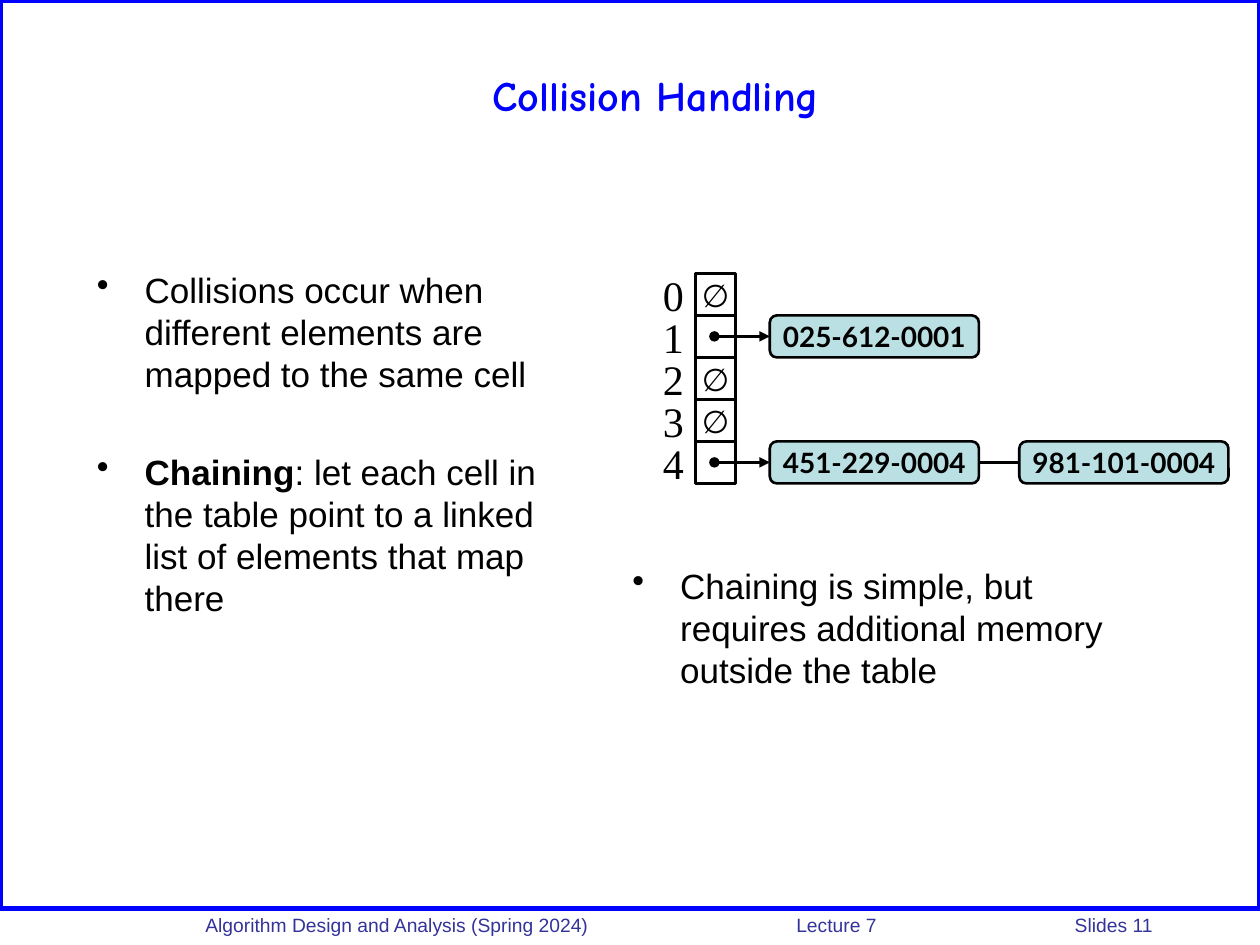
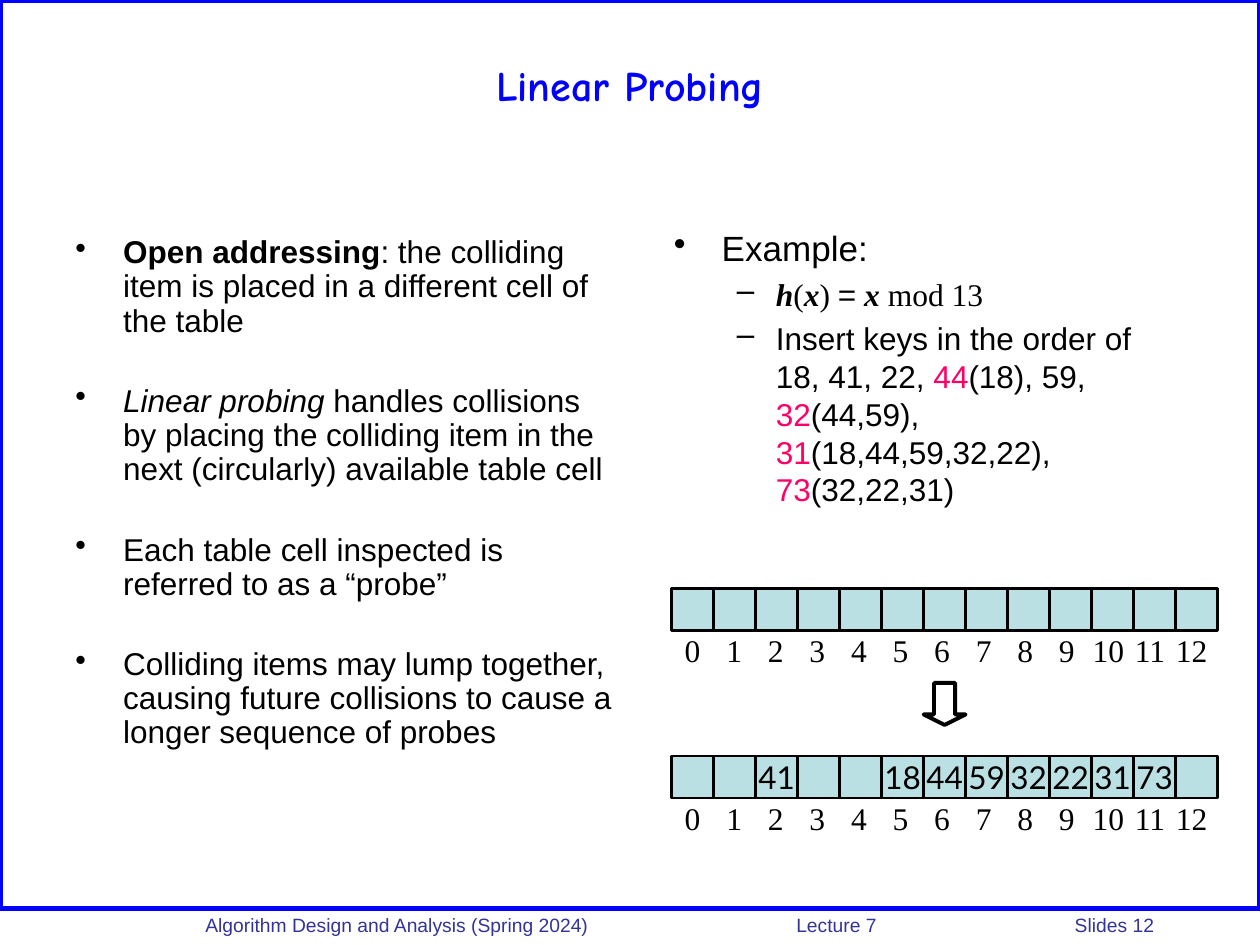
from lxml.etree import SubElement
from pptx import Presentation
from pptx.dml.color import RGBColor
from pptx.enum.shapes import MSO_CONNECTOR as Connector, MSO_SHAPE as Shape
from pptx.enum.text import MSO_ANCHOR as Anchor, PP_ALIGN as Align
from pptx.oxml.ns import qn
from pptx.util import Inches, Pt

BLUE = RGBColor(0x00, 0x00, 0xFF)
NAVY = RGBColor(0x33, 0x33, 0x99)
BLACK = RGBColor(0x00, 0x00, 0x00)
TEAL = RGBColor(0xBB, 0xE0, 0xE3)
PINK = RGBColor(0xFF, 0x00, 0x66)

SANS, SERIF, TITLE_FONT, CELL_FONT = "Arial", "Times New Roman", "Comic Neue", "Lato"
BOLD = {"bold": True}
ITALIC = {"italic": True}
MATH = {"name": SERIF}
VARIABLE = {"name": SERIF, "bold": True, "italic": True}

CELL = Inches(1) // 3
NODE_WIDTH = Inches(1.66)
BULLETS = [("•", 0.38, -0.38), ("–", 0.81, -0.31)]


def set_font(font, name, size, color=BLACK, bold=False):
    font.name, font.size, font.bold = name, Pt(size), bold
    font.color.rgb = color


def add_outline(page, kind, left, top, width, height, color=BLACK, weight=1.5, fill=None):
    box = page.shapes.add_shape(kind, left, top, width, height)
    box.shadow.inherit = False
    if fill is None:
        box.fill.background()
    else:
        box.fill.solid()
        box.fill.fore_color.rgb = fill
    box.line.color.rgb = color
    box.line.width = Pt(weight)
    return box


def write_label(box, text, name, size, bold=False):
    frame = box.text_frame
    frame.word_wrap = False
    frame.vertical_anchor = Anchor.MIDDLE
    frame.margin_left = frame.margin_right = 0
    frame.margin_top = frame.margin_bottom = 0
    para = frame.paragraphs[0]
    para.text = text
    para.alignment = Align.CENTER
    set_font(para.font, name, size, bold=bold)


def add_index(page, left, top, width, height, number, size):
    box = page.shapes.add_textbox(left, top, width, height)
    write_label(box, str(number), SERIF, size)


def add_line(page, start, end, arrow=False):
    line = page.shapes.add_connector(Connector.STRAIGHT, *start, *end)
    line.line.color.rgb = BLACK
    line.line.width = Pt(1.5)
    if arrow:
        outline = line.line._get_or_add_ln()
        SubElement(outline, qn("a:headEnd"), type="oval")
        SubElement(outline, qn("a:tailEnd"), type="triangle")
    SubElement(line._element.spPr, qn("a:effectLst"))
    return line


def add_bullets(page, left, top, width, height, items, gap=0, spacing=None):
    box = page.shapes.add_textbox(left, top, width, height)
    frame = box.text_frame
    frame.word_wrap = True
    for position, (level, size, spans) in enumerate(items):
        para = frame.add_paragraph() if position else frame.paragraphs[0]
        para.level = level
        mark, margin, indent = BULLETS[level]
        props = para._p.get_or_add_pPr()
        props.set("marL", str(Inches(margin)))
        props.set("indent", str(Inches(indent)))
        SubElement(props, qn("a:buChar"), char=mark)
        if position:
            para.space_before = Pt(gap)
        if spacing:
            para.line_spacing = spacing
        set_font(para.font, SANS, size)
        for text, style in spans:
            span = para.add_run()
            span.text = text
            for key, value in style.items():
                if key == "color":
                    span.font.color.rgb = value
                else:
                    setattr(span.font, key, value)


def add_footer(page, number):
    box = page.shapes.add_textbox(Inches(1.33), Inches(7.2), Inches(8.67), Inches(0.26))
    frame = box.text_frame
    frame.word_wrap = True
    frame.margin_left = Inches(0.3)
    para = frame.paragraphs[0]
    para.text = f"Algorithm Design and Analysis (Spring 2024)\tLecture 7\tSlides {number}"
    tabs = SubElement(para._p.get_or_add_pPr(), qn("a:tabLst"))
    for stop in (4.69, 6.9):
        SubElement(tabs, qn("a:tab"), pos=str(Inches(stop)), algn="l")
    set_font(para.font, SANS, 11, NAVY)


def add_page(deck, number, heading, left, top, width):
    page = deck.slides.add_slide(deck.slide_layouts[5])
    add_outline(page, Shape.RECTANGLE, 0, 0, deck.slide_width, Inches(7.21), BLUE, 3)
    add_footer(page, number)
    title = page.shapes.title
    title.left, title.top, title.width, title.height = left, top, width, Inches(1)
    title.text_frame.vertical_anchor = Anchor.MIDDLE
    para = title.text_frame.paragraphs[0]
    para.text = heading
    para.alignment = Align.CENTER
    set_font(para.font, TITLE_FONT, 24, BLUE, True)
    return page


def add_node(page, left, top, text):
    node = add_outline(page, Shape.ROUNDED_RECTANGLE, left, top, NODE_WIDTH, CELL, fill=TEAL)
    write_label(node, text, CELL_FONT, 16, True)
    return node


def add_chained_table(page, left, top, chains):
    cell_left = left + Inches(0.36)
    node_left = left + Inches(0.95)
    for row, chain in enumerate(chains):
        row_top = top + row * CELL
        middle = row_top + CELL // 2
        cell = add_outline(page, Shape.RECTANGLE, cell_left, row_top, Inches(0.32), CELL)
        add_index(page, left, row_top, Inches(0.37), CELL, row, 24)
        if not chain:
            write_label(cell, "∅", CELL_FONT, 18)
        previous = None
        for place, key in enumerate(chain):
            node = add_node(page, node_left + place * Inches(1.98), row_top, key)
            if previous is None:
                line = add_line(page, (left + Inches(0.51), middle), (node.left, middle), True)
            else:
                line = add_line(page, (previous.left + NODE_WIDTH, middle), (node.left, middle))
                line.begin_connect(previous, 3)
            line.end_connect(node, 1)
            previous = node


def add_probe_array(page, left, top, keys):
    for index in range(13):
        cell = add_outline(page, Shape.RECTANGLE, left + index * CELL, top, CELL, CELL, fill=TEAL)
        if index in keys:
            write_label(cell, str(keys[index]), CELL_FONT, 18)
        add_index(page, left + index * Inches(0.33), top + Inches(0.29),
                  CELL, Inches(0.4), index, 18)


def build_collision_page(deck):
    page = add_page(deck, 11, "Collision Handling", Inches(1.25), Inches(0.25), Inches(7.91))
    add_bullets(page, Inches(0.67), Inches(2.08), Inches(4), Inches(4.5), [
        (0, 20, [("Collisions occur when different elements are mapped to the same cell", {})]),
        (0, 20, [("Chaining", BOLD),
                 (": let each cell in the table point to a linked list of elements "
                  "that map there", {})]),
    ], gap=32)
    add_bullets(page, Inches(4.92), Inches(4.43), Inches(4.17), Inches(2.15), [
        (0, 20, [("Chaining is simple, but requires additional memory outside the table", {})]),
    ])
    add_chained_table(page, Inches(5.16), Inches(2.17), [
        [], ["025-612-0001"], [], [], ["451-229-0004", "981-101-0004"],
    ])


def build_probing_page(deck):
    page = add_page(deck, 12, "Linear Probing", Inches(0.5), Inches(0.17), Inches(9))
    add_bullets(page, Inches(0.5), Inches(1.83), Inches(4.5), Inches(5), [
        (0, 18, [("Open addressing", BOLD),
                 (": the colliding item is placed in a different cell of the table", {})]),
        (0, 18, [("Linear probing", ITALIC),
                 (" handles collisions by placing the colliding item in the next "
                  "(circularly) available table cell", {})]),
        (0, 18, [("Each table cell inspected is referred to as a “probe”", {})]),
        (0, 18, [("Colliding items may lump together, causing future collisions to cause "
                  "a longer sequence of probes", {})]),
    ], gap=26.6, spacing=0.9)
    collided = {"color": PINK}
    add_bullets(page, Inches(5.25), Inches(1.75), Inches(4.17), Inches(2.42), [
        (0, 20, [("Example:", {})]),
        (1, 18, [("h", VARIABLE), ("(", MATH), ("x", VARIABLE), (") ", MATH), ("=", {}),
                 (" x ", VARIABLE), ("mod 13", MATH)]),
        (1, 18, [("Insert keys in the order of 18, 41, 22, ", {}),
                 ("44", collided), ("(18), 59, ", {}),
                 ("32", collided), ("(44,59), ", {}),
                 ("31", collided), ("(18,44,59,32,22), ", {}),
                 ("73", collided), ("(32,22,31)", {})]),
    ], gap=3.6)
    array_left = Inches(5.33)
    add_probe_array(page, array_left, Inches(4.67), {})
    add_outline(page, Shape.DOWN_ARROW, array_left + 6 * CELL, Inches(5.42), CELL, CELL,
                weight=2.25).adjustments[1] = 0.25
    add_probe_array(page, array_left, Inches(6),
                    {2: 41, 5: 18, 6: 44, 7: 59, 8: 32, 9: 22, 10: 31, 11: 73})


def main():
    deck = Presentation()
    deck.slide_width, deck.slide_height = Inches(10), Inches(7.5)
    build_collision_page(deck)
    build_probing_page(deck)
    deck.save("out.pptx")


if __name__ == "__main__":
    main()
